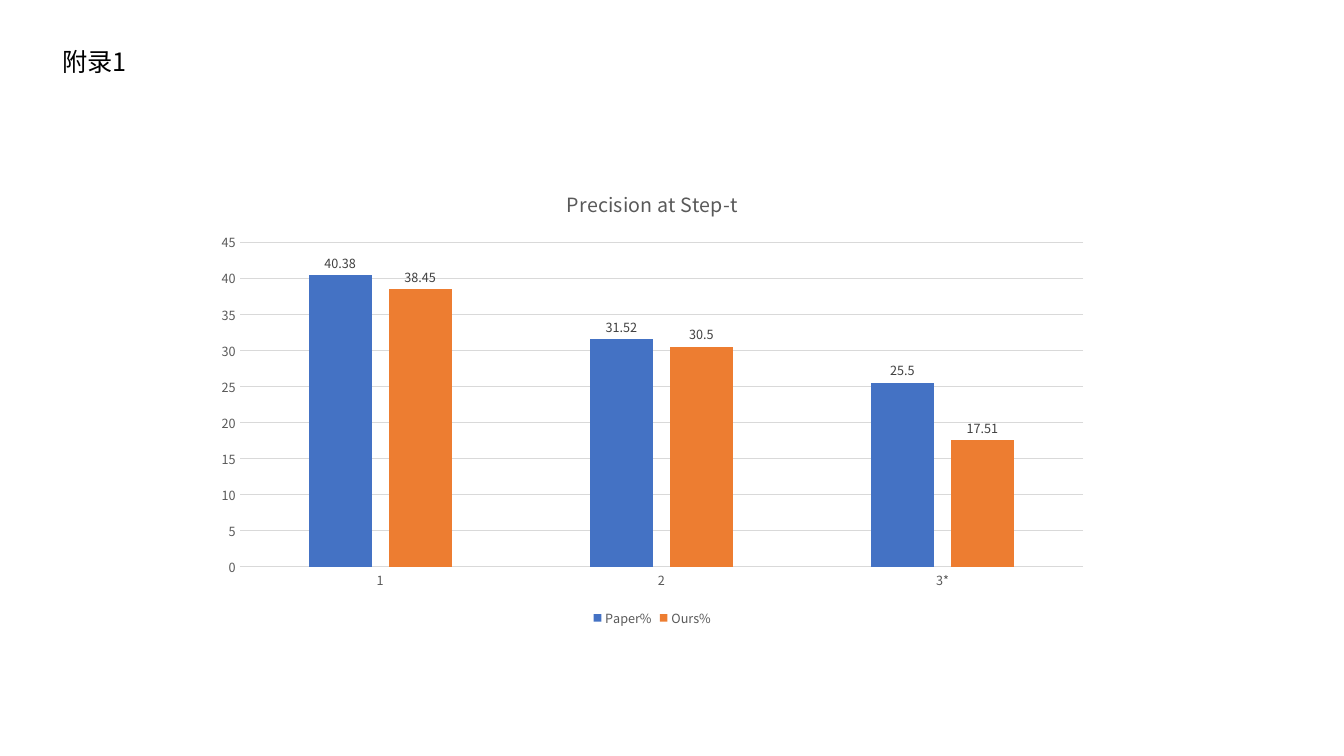
"""Build the appendix slide with the precision chart."""
from lxml.etree import SubElement
from pptx import Presentation
from pptx.chart.data import CategoryChartData
from pptx.dml.color import RGBColor
from pptx.enum.chart import XL_CHART_TYPE as Chart, XL_LABEL_POSITION as LabelPos
from pptx.enum.chart import XL_LEGEND_POSITION as LegendPos, XL_TICK_MARK as Tick
from pptx.enum.text import MSO_ANCHOR as Anchor
from pptx.oxml.ns import qn
from pptx.util import Inches, Pt

FONT = "Noto Sans CJK SC"
BLACK = RGBColor(0x00, 0x00, 0x00)
DARK = RGBColor(0x40, 0x40, 0x40)
GRAY = RGBColor(0x59, 0x59, 0x59)
RULE = RGBColor(0xD9, 0xD9, 0xD9)
BLUE = RGBColor(0x44, 0x72, 0xC4)
ORANGE = RGBColor(0xED, 0x7D, 0x31)

TITLE = "附录1"
CHART_TITLE = "Precision at Step-t"
STEPS = ["1", "2", "3*"]
SERIES = [
    ("Paper%", (40.38, 31.52, 25.5), BLUE),
    ("Ours%", (38.45, 30.5, 17.51), ORANGE),
]
TITLE_BOX = (0.52, 0.35, 11.5, 0.55)
CHART_BOX = (2.02, 1.68, 8.9, 4.58)


def style(font, size=9, color=GRAY, bold=False):
    font.name, font.size, font.bold = FONT, Pt(size), bold
    font.color.rgb = color


def put_text(tf, text, spacing=None, **fmt):
    p = tf.paragraphs[0]
    p.line_spacing = spacing
    r = p.add_run()
    r.text = text
    style(r.font, **fmt)
    SubElement(r._r.get_or_add_rPr(), qn("a:ea"), typeface=FONT)


def rule(line):
    line.color.rgb, line.width = RULE, Pt(0.75)


def add_title(s):
    tf = s.shapes.add_textbox(*map(Inches, TITLE_BOX)).text_frame
    tf.word_wrap, tf.vertical_anchor = True, Anchor.MIDDLE
    put_text(tf, TITLE, spacing=0.9, size=18, color=BLACK)


def add_precision_chart(s):
    data = CategoryChartData()
    data.categories = STEPS
    for name, values, _ in SERIES:
        data.add_series(name, values)
    box = map(Inches, CHART_BOX)
    chart = s.shapes.add_chart(Chart.COLUMN_CLUSTERED, *box, data).chart
    style(chart.font, size=10, color=BLACK)
    put_text(chart.chart_title.text_frame, CHART_TITLE, size=14)
    chart.chart_title.include_in_layout = False

    chart.has_legend = True
    chart.legend.position = LegendPos.BOTTOM
    chart.legend.include_in_layout = False
    style(chart.legend.font)

    for axis in (chart.category_axis, chart.value_axis):
        axis.major_tick_mark = axis.minor_tick_mark = Tick.NONE
        style(axis.tick_labels.font)
    rule(chart.category_axis.format.line)
    chart.value_axis.format.line.fill.background()
    rule(chart.value_axis.major_gridlines.format.line)
    chart.value_axis.minimum_scale = 0
    chart.value_axis.maximum_scale = 45
    chart.value_axis.major_unit = 5

    plot = chart.plots[0]
    plot.gap_width, plot.overlap, plot.vary_by_categories = 219, -27, False
    for series, (_, _, color) in zip(plot.series, SERIES):
        series.format.fill.solid()
        series.format.fill.fore_color.rgb = color
        labels = series.data_labels
        labels.show_value, labels.position = True, LabelPos.OUTSIDE_END
        style(labels.font, color=DARK)


def main():
    prs = Presentation()
    prs.slide_width, prs.slide_height = Inches(13.33), Inches(7.5)
    s = prs.slides.add_slide(prs.slide_layouts[6])
    add_title(s)
    add_precision_chart(s)
    prs.save("out.pptx")


if __name__ == "__main__":
    main()
